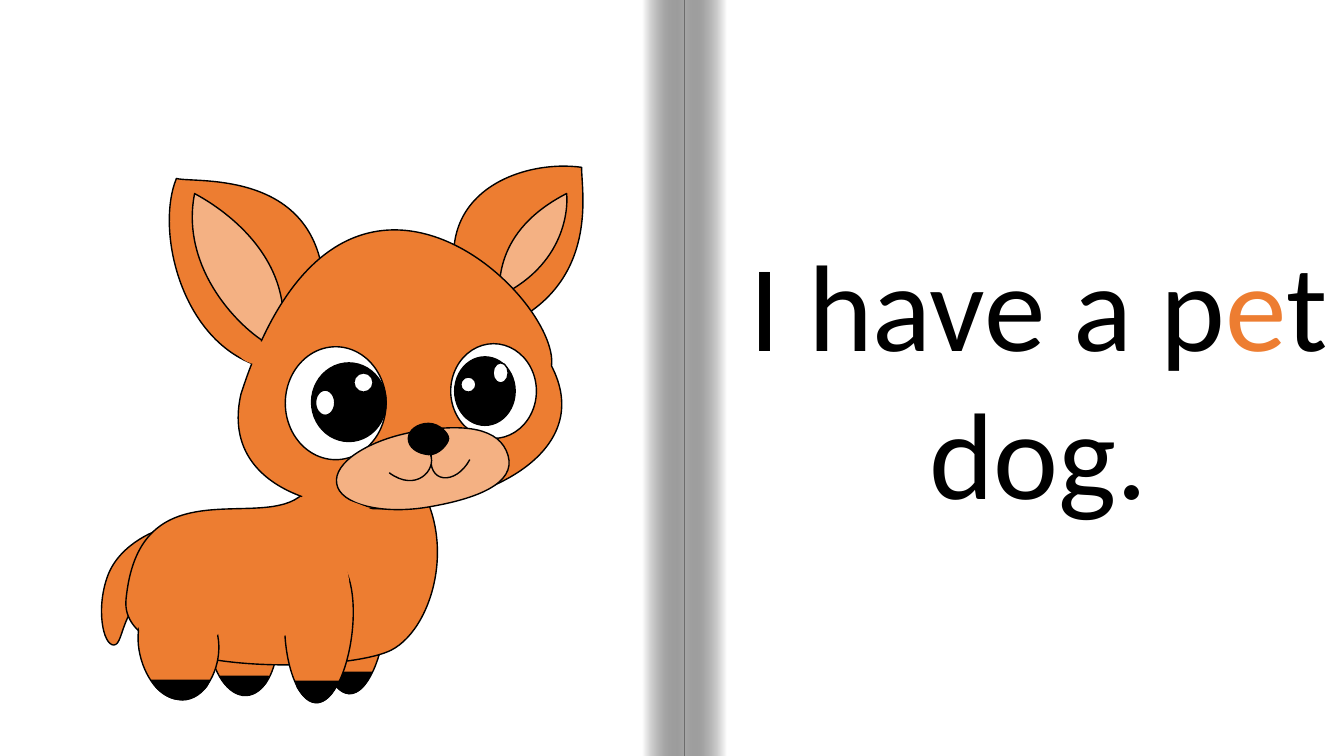
from lxml import etree
from pptx import Presentation
from pptx.dml.color import RGBColor
from pptx.enum.shapes import MSO_SHAPE
from pptx.enum.text import MSO_AUTO_SIZE, PP_ALIGN
from pptx.oxml.ns import qn
from pptx.util import Inches, Pt

RECTANGLE, OVAL = MSO_SHAPE.RECTANGLE, MSO_SHAPE.OVAL
CENTER = PP_ALIGN.CENTER
FIT_SHAPE = MSO_AUTO_SIZE.SHAPE_TO_FIT_TEXT
BLACK, WHITE, COAT, CREAM = "000000", "FFFFFF", "ED7D31", "F4B183"

FRONT_LEG = [(3.16, 6.97), (2.8, 7.03, 2.63, 5.62, 3.16, 5.51), (3.7, 5.4, 3.53, 6.9, 3.16, 6.97)]
FRONT_PAW = [(2.93, 6.76), (3.36, 6.76), (3.32, 6.83), (3.28, 6.91, 3.22, 6.96, 3.16, 6.97),
             (3.08, 6.98, 3.01, 6.92, 2.95, 6.82)]
FAR_LEG = [(2.41, 6.9), (2.78, 6.94, 2.94, 5.98, 2.41, 5.9), (1.87, 5.83, 2.04, 6.85, 2.41, 6.9)]
FAR_PAW = [(2.66, 6.71), (2.18, 6.71), (2.23, 6.78), (2.28, 6.84, 2.34, 6.89, 2.41, 6.89),
           (2.5, 6.91, 2.58, 6.85, 2.64, 6.77)]
HIND_LEG = [(1.77, 6.94), (2.2, 6.99, 2.4, 6.02, 1.77, 5.95), (1.14, 5.87, 1.34, 6.9, 1.77, 6.94)]
HIND_PAW = [(2.08, 6.75), (1.5, 6.75), (1.55, 6.82), (1.62, 6.89, 1.69, 6.93, 1.77, 6.94),
            (1.88, 6.96, 1.98, 6.9, 2.05, 6.81)]
TAIL = [(1.74, 5.68), (1.16, 5.95, 1.25, 6.39, 1.13, 6.4), (1.02, 6.4, 0.95, 6.03, 1.07, 5.71),
        (1.19, 5.39, 1.57, 5.24, 1.68, 5.23), (1.8, 5.22, 2.32, 5.4, 1.74, 5.68)]
BODY = [(3.96, 4.57), (3.33, 3.97, 3.38, 4.7, 2.92, 4.96), (2.45, 5.21, 1.37, 4.69, 1.25, 5.95),
        (1.18, 6.72, 3.42, 6.68, 3.88, 6.45), (4.33, 6.22, 4.6, 5.17, 3.96, 4.57)]
FLANK = [(1.46, 5.83), (1.31, 5.22, 3.21, 4.77, 3.44, 5.67), (3.67, 6.56, 1.6, 6.45, 1.46, 5.83)]
THIGH = [(1.74, 6.5), (1.27, 6.47, 1.16, 5.72, 1.84, 5.76), (2.53, 5.79, 2.21, 6.52, 1.74, 6.5)]
RIGHT_EAR = [(5.06, 3.21), (5.96, 2.77, 5.76, 1.86, 5.77, 1.66),
             (5.2, 1.58, 4.3, 1.89, 4.54, 2.83)]
RIGHT_INNER_EAR = [(4.97, 2.93), (5.66, 2.59, 5.63, 1.98, 5.62, 1.92),
                   (4.88, 2.3, 4.96, 2.85, 4.95, 2.97)]
LEFT_EAR = [(3.14, 3.55), (3.59, 1.6, 1.94, 1.83, 1.75, 1.77),
            (1.53, 2.31, 1.82, 3.49, 2.68, 3.66)]
LEFT_INNER_EAR = [(2.8, 3.33), (2.92, 2.42, 1.98, 1.95, 1.93, 1.92),
                  (1.77, 2.73, 2.49, 3.36, 2.72, 3.44)]
HEAD = [(5.47, 3.63), (5.56, 2.95, 3.38, 0.82, 2.39, 3.91), (1.98, 5.71, 6.28, 5.19, 5.47, 3.63)]
MUZZLE = [(5.04, 4.52), (4.96, 4.24, 4.6, 4.2, 4.13, 4.28), (3.66, 4.36, 3.3, 4.59, 3.34, 4.8),
          (3.37, 5, 3.78, 5.11, 4.25, 5.03), (4.72, 4.95, 5.12, 4.8, 5.04, 4.52)]
RIGHT_SMILE = [(4.28, 4.5), (4.23, 4.8, 4.52, 4.82, 4.66, 4.56)]
LEFT_SMILE = [(4.27, 4.51), (4.33, 4.66, 4.13, 4.89, 3.86, 4.69)]
NOSE_CREASE = [(4.28, 4.26), (4.22, 4.25, 4.2, 4.25, 4.16, 4.27)]
NOSE = [(4.45, 4.35), (4.45, 4.3, 4.36, 4.2, 4.25, 4.2), (4.14, 4.2, 4.05, 4.27, 4.05, 4.35),
        (4.05, 4.44, 4.14, 4.5, 4.25, 4.51), (4.35, 4.52, 4.45, 4.4, 4.45, 4.35)]
EYE_PARTS = [
    (2.83, 3.44, 1, 1.12, WHITE), (3.09, 3.6, 0.74, 0.78, BLACK),
    (3.51, 3.7, 0.19, 0.19, WHITE), (3.13, 3.87, 0.19, 0.25, WHITE),
    (4.47, 3.41, 0.85, 0.94, WHITE), (4.51, 3.54, 0.6, 0.68, BLACK),
    (4.57, 3.74, 0.15, 0.15, WHITE), (4.89, 3.6, 0.15, 0.2, WHITE),
]


def rgb(value):
    """Return the colour for a hex string."""
    return RGBColor.from_string(value)


def paint(shape, fill, line=None):
    """Set a shape's fill and outline, where None means neither."""
    shape.shadow.inherit = False
    if fill:
        shape.fill.solid()
        shape.fill.fore_color.rgb = rgb(fill)
    else:
        shape.fill.background()
    if line:
        shape.line.color.rgb = rgb(line)
        shape.line.width = Pt(1)
    else:
        shape.line.fill.background()


def add_preset(shapes, kind, left, top, width, height, fill, line=None, rotation=0):
    """Add a filled preset shape."""
    shape = shapes.add_shape(kind, Inches(left), Inches(top), Inches(width), Inches(height))
    shape.rotation = rotation
    paint(shape, fill, line)
    return shape


def outline_bounds(outline):
    """Return the left, top, right and bottom of an outline."""
    points = [outline[0]]
    for segment in outline[1:]:
        start = points[-1]
        for t in [step / 24 for step in range(1, 24)] if len(segment) == 6 else []:
            weights = ((1 - t) ** 3, 3 * t * (1 - t) ** 2, 3 * t * t * (1 - t), t ** 3)
            corners = (start, segment[:2], segment[2:4], segment[4:])
            points.append([sum(w * corner[axis] for w, corner in zip(weights, corners))
                           for axis in (0, 1)])
        points.append(segment[-2:])
    xs, ys = zip(*points)
    return min(xs), min(ys), max(xs), max(ys)


def add_outline(shapes, outline, fill, line=BLACK, close=True, shift=(0, 0)):
    """Add a freeform from a start point followed by line ends and curves."""
    left, top, right, bottom = outline_bounds(outline)
    builder = shapes.build_freeform(Inches(left + shift[0]), Inches(top + shift[1]))
    builder.add_line_segments([(Inches(right + shift[0]), Inches(bottom + shift[1]))], close=False)
    shape = builder.convert_to_shape()
    track = shape._element.spPr.find(".//" + qn("a:path"))
    for child in list(track):
        track.remove(child)
    for index, segment in enumerate(outline):
        tag = "a:cubicBezTo" if len(segment) == 6 else "a:lnTo" if index else "a:moveTo"
        step = etree.SubElement(track, qn(tag))
        for x, y in zip(segment[::2], segment[1::2]):
            etree.SubElement(step, qn("a:pt"), x=str(Inches(x - left)), y=str(Inches(y - top)))
    if close:
        etree.SubElement(track, qn("a:close"))
    paint(shape, fill, line)


def add_leg(shapes, leg, paw, shift=(0, 0)):
    """Add a leg with its black paw."""
    add_outline(shapes, leg, COAT, shift=shift)
    add_outline(shapes, paw, BLACK, shift=shift)


def add_fold_shade(shapes, left, angle):
    """Add one side of the book fold, fading from white to grey."""
    shape = add_preset(shapes, RECTANGLE, left, 0, 0.42, 7.5, WHITE)
    shape.fill.gradient()
    shape.fill.gradient_angle = angle
    for stop, color, position in zip(shape.fill.gradient_stops, (WHITE, BLACK), (0, 1)):
        stop.color.rgb = rgb(color)
        stop.position = position
    dark = shape._element.spPr.findall(".//" + qn("a:srgbClr"))[-1]
    etree.SubElement(dark, qn("a:alpha"), val="34000")


def add_body(shapes):
    """Draw the dog's legs, tail and trunk."""
    add_leg(shapes, FRONT_LEG, FRONT_PAW, shift=(0.33, -0.09))
    add_leg(shapes, FAR_LEG, FAR_PAW)
    add_outline(shapes, TAIL, COAT)
    add_outline(shapes, BODY, COAT)
    add_leg(shapes, HIND_LEG, HIND_PAW)
    add_leg(shapes, FRONT_LEG, FRONT_PAW)
    for patch in (FLANK, THIGH):
        add_outline(shapes, patch, COAT, COAT)


def add_head(shapes):
    """Draw the dog's ears, head and face."""
    for outline, fill in ((RIGHT_EAR, COAT), (RIGHT_INNER_EAR, CREAM), (LEFT_EAR, COAT),
                          (LEFT_INNER_EAR, CREAM), (HEAD, COAT)):
        add_outline(shapes, outline, fill)
    for eye_part in EYE_PARTS:
        add_preset(shapes, OVAL, *eye_part, line=BLACK)
    add_outline(shapes, MUZZLE, CREAM)
    for outline, fill in ((RIGHT_SMILE, CREAM), (LEFT_SMILE, CREAM), (NOSE_CREASE, None)):
        add_outline(shapes, outline, fill, close=False)
    add_outline(shapes, NOSE, BLACK)
    for place in ((2.33, 3.37, 0.39, 0.24), (2.96, 4.97, 0.98, 0.25)):
        add_preset(shapes, OVAL, *place, COAT, rotation=18.3)


def add_sentence(shapes):
    """Add the sentence with its vowel picked out."""
    frame = shapes.add_textbox(Inches(7.16), Inches(2.22), Inches(6.28), Inches(3.06)).text_frame
    frame.word_wrap = True
    frame.auto_size = FIT_SHAPE
    paragraph = frame.paragraphs[0]
    paragraph.alignment = CENTER
    paragraph.font.name = "Calibri"
    paragraph.font.size = Pt(88)
    for text, color in (("I have a p", BLACK), ("e", COAT), ("t dog.", BLACK)):
        run = paragraph.add_run()
        run.text = text
        run.font.color.rgb = rgb(color)


def main():
    """Build the book page and save it."""
    presentation = Presentation()
    presentation.slide_width, presentation.slide_height = Inches(13.33), Inches(7.5)
    slide = presentation.slides.add_slide(presentation.slide_layouts[6])
    slide.background.fill.solid()
    slide.background.fill.fore_color.rgb = rgb(BLACK)
    page = slide.shapes.add_group_shape().shapes
    add_preset(page, RECTANGLE, 0, 0, 13.33, 7.5, WHITE)
    add_fold_shade(page, 6.79, 180)
    add_fold_shade(page, 6.37, 0)
    add_sentence(slide.shapes)
    dog = slide.shapes.add_group_shape().shapes
    add_body(dog)
    add_head(dog)
    presentation.save("out.pptx")


if __name__ == "__main__":
    main()
